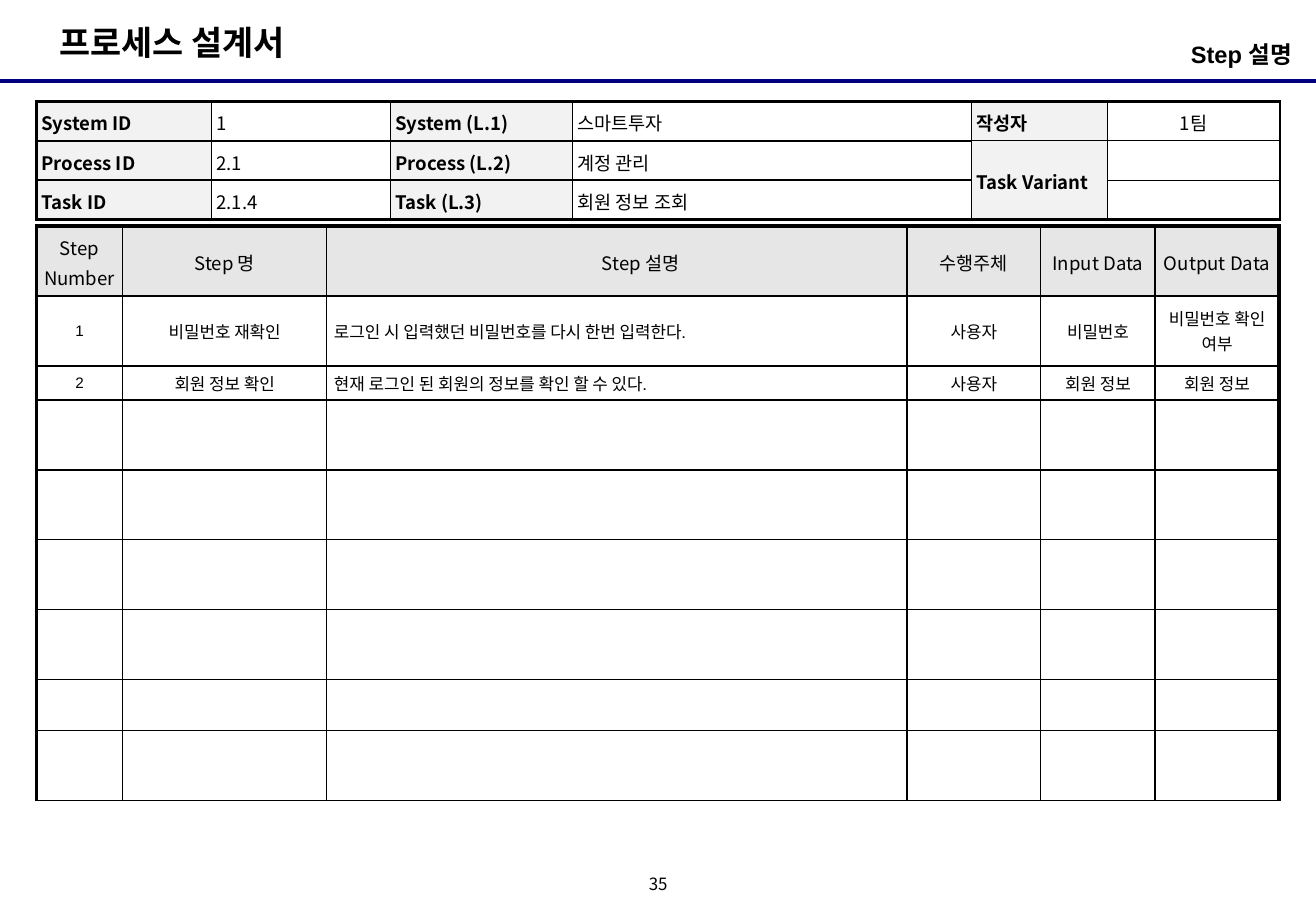
from dataclasses import dataclass

from lxml.etree import SubElement
from pptx import Presentation
from pptx.dml.color import RGBColor
from pptx.enum.shapes import MSO_CONNECTOR as Connector
from pptx.enum.text import MSO_ANCHOR as Anchor, PP_ALIGN as Align
from pptx.oxml.ns import qn
from pptx.util import Inches, Pt

BLACK = RGBColor(0x00, 0x00, 0x00)
NAVY = RGBColor(0x00, 0x00, 0x80)
LABEL_GRAY = RGBColor(0xF2, 0xF2, 0xF2)
HEADING_GRAY = RGBColor(0xE6, 0xE6, 0xE6)
ARIAL = "Arial"
NOTO = "Noto Sans CJK KR"
SLIDE_WIDTH, SLIDE_HEIGHT = Inches(10.83), Inches(7.5)


@dataclass(frozen=True)
class Style:
    size: float
    font: str = NOTO
    bold: bool = False
    align: Align = Align.LEFT
    anchor: Anchor = Anchor.TOP
    spacing: float = 1.0


@dataclass(frozen=True)
class Entry:
    text: str
    style: Style
    fill: RGBColor | None = None
    indent: float = 0


@dataclass(frozen=True)
class Rules:
    left: float
    top: float
    right: float
    bottom: float
    inner: tuple[float, ...]


@dataclass(frozen=True)
class Form:
    top: float
    columns: tuple[float, ...]
    rows: tuple[float, ...]
    rules: Rules
    side_margin: float
    entries: list[list[Entry]]
    merges: tuple[tuple[int, int, int, int], ...] = ()


@dataclass(frozen=True)
class Caption:
    text: str
    box: tuple[float, float, float, float]
    margin: tuple[float, float]
    style: Style


def across(percent: float) -> int:
    return round(SLIDE_WIDTH * percent / 100)


def down(percent: float) -> int:
    return round(SLIDE_HEIGHT * percent / 100)


def write(frame, text: str, style: Style) -> None:
    frame.text = text
    paragraph = frame.paragraphs[0]
    paragraph.alignment = style.align
    paragraph.line_spacing = style.spacing
    for run in paragraph.runs:
        run.font.size = Pt(style.size)
        run.font.name = style.font
        run.font.bold = style.bold
        run.font.color.rgb = BLACK
        SubElement(run._r.rPr, qn("a:ea"), typeface=NOTO)
    if not text:
        SubElement(paragraph._p, qn("a:endParaRPr"), sz=str(style.size * 100))


def draw_borders(cell, widths: dict[str, float]) -> None:
    properties = cell._tc.get_or_add_tcPr()
    for side, width in widths.items():
        border = SubElement(properties, qn(f"a:ln{side}"), w=str(Pt(width)))
        SubElement(SubElement(border, qn("a:solidFill")), qn("a:srgbClr"), val=str(BLACK))


def draw_form(slide, form: Form) -> None:
    table = slide.shapes.add_table(
        len(form.rows), len(form.columns), across(2.77), down(form.top),
        across(sum(form.columns)), down(sum(form.rows))).table
    table.first_row = table.horz_banding = False
    for column, width in zip(table.columns, form.columns):
        column.width = across(width)
    for row, height in zip(table.rows, form.rows):
        row.height = down(height)
    for top, left, bottom, right in form.merges:
        table.cell(top, left).merge(table.cell(bottom, right))
    last_row, last_column = len(form.rows) - 1, len(form.columns) - 1
    rules = form.rules
    for r, entries in enumerate(form.entries):
        for c, entry in enumerate(entries):
            cell = table.cell(r, c)
            end_row = r + (cell.span_height if cell.is_merge_origin else 1) - 1
            inner = rules.inner[c]
            draw_borders(cell, {
                "L": rules.left if c == 0 else inner,
                "R": rules.right if c == last_column else inner,
                "T": rules.top if r == 0 else inner,
                "B": rules.bottom if end_row == last_row else inner,
            })
            if entry.fill is None:
                cell.fill.background()
            else:
                cell.fill.solid()
                cell.fill.fore_color.rgb = entry.fill
            cell.margin_left = Inches(form.side_margin + entry.indent)
            cell.margin_right = Inches(form.side_margin)
            cell.margin_top = cell.margin_bottom = Inches(0.04)
            cell.vertical_anchor = entry.style.anchor
            write(cell.text_frame, entry.text, entry.style)


def draw_caption(slide, caption: Caption) -> None:
    left, top, width, height = caption.box
    frame = slide.shapes.add_textbox(
        across(left), down(top), across(width), down(height)).text_frame
    frame.word_wrap = True
    side, edge = caption.margin
    frame.margin_left = frame.margin_right = Inches(side)
    frame.margin_top = frame.margin_bottom = Inches(edge)
    frame.vertical_anchor = caption.style.anchor
    write(frame, caption.text, caption.style)


def draw_header_rule(slide) -> None:
    rule = slide.shapes.add_connector(
        Connector.STRAIGHT, 0, down(8.93), SLIDE_WIDTH, down(8.93))
    rule.line.color.rgb = NAVY
    rule.line.width = Pt(2.25)
    SubElement(rule._element.spPr, qn("a:effectLst"))


LABEL = Style(11, bold=True, spacing=1.1)
SIDE_LABEL = Style(11, bold=True, anchor=Anchor.MIDDLE, spacing=1.1)
VALUE = Style(11, spacing=1.1)
CENTERED = Style(11, align=Align.CENTER, anchor=Anchor.MIDDLE, spacing=1.1)
STEP_NUMBER = Style(9, ARIAL, align=Align.CENTER, anchor=Anchor.MIDDLE)
STEP_TEXT = Style(10, ARIAL, anchor=Anchor.MIDDLE)
STEP_CENTERED = Style(10, align=Align.CENTER, anchor=Anchor.MIDDLE)

IDENTITY = [
    ("System ID", "1", "System (L.1)", "스마트투자", "작성자", "1팀"),
    ("Process ID", "2.1", "Process (L.2)", "계정 관리", "Task Variant", ""),
    ("Task ID", "2.1.4", "Task (L.3)", "회원 정보 조회", "", ""),
]
IDENTITY_STYLES = (LABEL, VALUE, LABEL, VALUE, SIDE_LABEL, CENTERED)
HEADINGS = ("Step Number", "Step 명", "Step 설명", "수행주체", "Input Data", "Output Data")
STEPS = [
    ("1", "비밀번호 재확인", "로그인 시 입력했던 비밀번호를 다시 한번 입력한다.",
     "사용자", "비밀번호", "비밀번호 확인 여부"),
    ("2", "회원 정보 확인", "현재 로그인 된 회원의 정보를 확인 할 수 있다.",
     "사용자", "회원 정보", "회원 정보"),
] + [("",) * len(HEADINGS)] * 6
STEP_STYLES = (STEP_NUMBER, STEP_CENTERED, STEP_TEXT) + (STEP_CENTERED,) * 3

FORMS = [
    Form(11.15, (13.3, 13.6, 13.83, 30.34, 10.34, 13.07), (4.18,) * 3,
         Rules(1.5, 1.5, 1.5, 1.5, (1, 1, 1, 1, 0.75, 0.75)), 0.04,
         [[Entry(text, style, LABEL_GRAY if style.bold else None)
           for text, style in zip(row, IDENTITY_STYLES)] for row in IDENTITY],
         merges=((1, 4, 2, 4),)),
    Form(24.8, (6.55, 15.51, 44.1, 10.16, 8.7, 9.4),
         (7.68, 7.68, 3.68, 7.68, 7.68, 7.68, 7.68, 5.6, 7.68),
         Rules(2.25, 2.25, 2.25, 1, (1,) * 6), 0.06,
         [[Entry(text, CENTERED, HEADING_GRAY, 0.39 if text == "Step 설명" else 0)
           for text in HEADINGS]]
         + [[Entry(text, style) for text, style in zip(step, STEP_STYLES)]
            for step in STEPS]),
]
CAPTIONS = [
    Caption("프로세스 설계서", (3.6, 1.73, 22, 5.87), (0.1, 0.05),
            Style(20, ARIAL, bold=True)),
    Caption("Step 설명", (68.24, 3.73, 29.95, 5.2), (0, 0.05),
            Style(14, ARIAL, bold=True, align=Align.RIGHT)),
    Caption("35", (48.48, 95.6, 3.05, 3.33), (0, 0),
            Style(10, align=Align.CENTER, anchor=Anchor.MIDDLE, spacing=0.8)),
]


def main() -> None:
    deck = Presentation()
    deck.slide_width, deck.slide_height = SLIDE_WIDTH, SLIDE_HEIGHT
    slide = deck.slides.add_slide(deck.slide_layouts[6])
    draw_header_rule(slide)
    for form in FORMS:
        draw_form(slide, form)
    for caption in CAPTIONS:
        draw_caption(slide, caption)
    deck.save("out.pptx")


if __name__ == "__main__":
    main()
